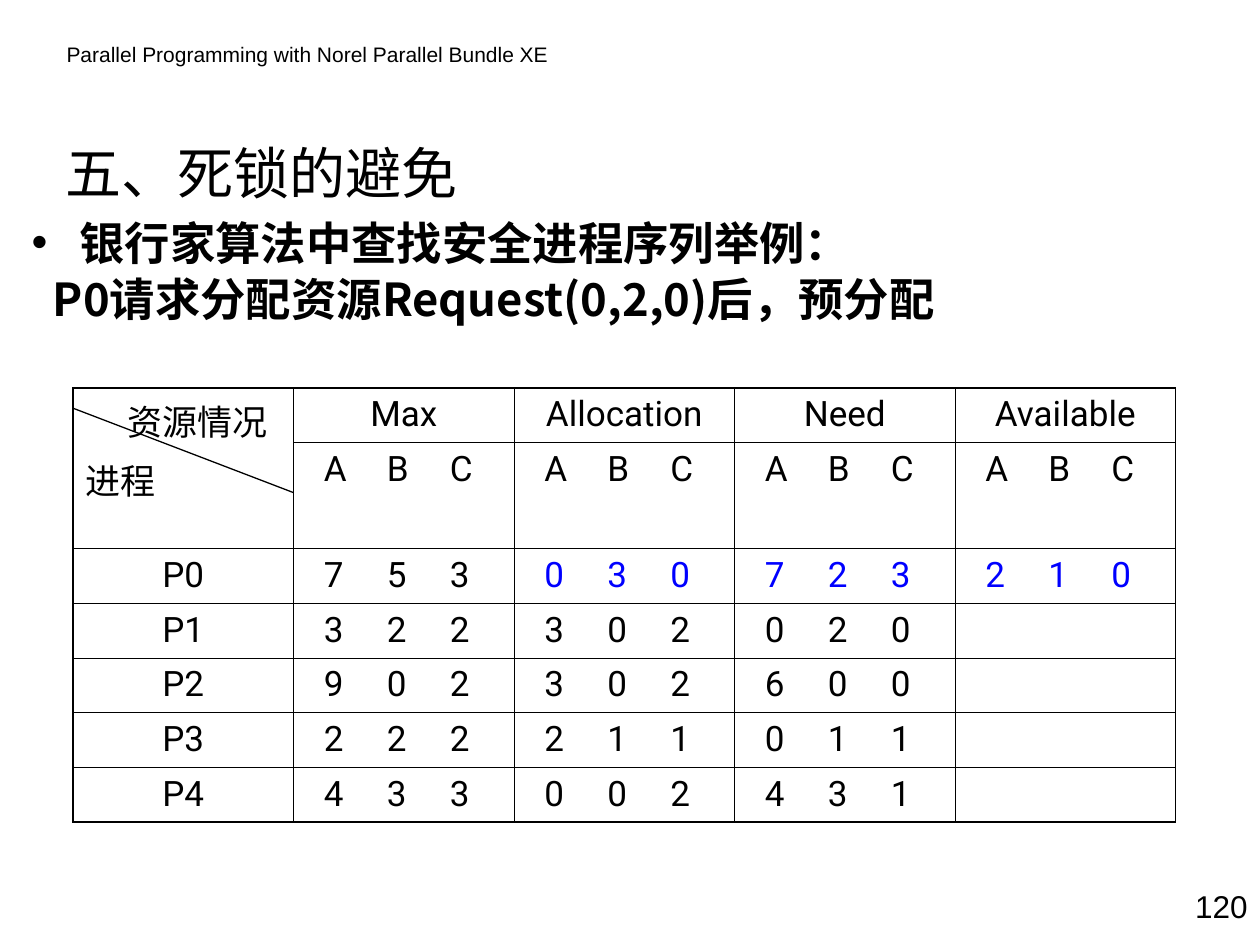
import pptx
import pptx.dml.color
import pptx.enum.shapes
import pptx.enum.text
import pptx.oxml
import pptx.oxml.ns
import pptx.util
from pptx.util import Inches

BLACK = pptx.dml.color.RGBColor(0, 0, 0)
BLUE = pptx.dml.color.RGBColor(0, 0, 255)
CHINESE = "Noto Sans CJK SC"
ALIGN = pptx.enum.text.PP_ALIGN
ANCHOR = pptx.enum.text.MSO_ANCHOR
AUTO_SIZE = pptx.enum.text.MSO_AUTO_SIZE
OUTER, INNER = 1.08, 0.45


class SlideBuilder:
    """Hold the style and the current slide, and draw each kind of element."""

    def __init__(self, page):
        self.page = page

    def child(self, parent, tag, **attributes):
        element = pptx.oxml.parse_xml(f"<a:{tag} {pptx.oxml.ns.nsdecls('a')}/>")
        for name, value in attributes.items():
            element.set(name, str(value))
        parent.append(element)
        return element

    def paragraph(self, para, text, size, font, color=BLACK, bold=False, tabs=(),
                  bullet=None, left=0, hanging=0, **formats):
        for name, value in formats.items():
            setattr(para, name, value)
        properties = para._p.get_or_add_pPr()
        properties.set("marL", str(Inches(left)))
        properties.set("indent", str(-Inches(hanging)))
        if bullet:
            self.child(properties, "buFont", typeface="Arial")
            self.child(properties, "buChar", char=bullet)
        if tabs:
            stops = self.child(properties, "tabLst")
            for stop in tabs:
                self.child(stops, "tab", pos=Inches(stop), algn="l")
        span = para.add_run()
        span.text = text
        style = {"size": pptx.util.Pt(size), "name": font, "bold": bold}
        for name, value in style.items():
            setattr(span.font, name, value)
        span.font.color.rgb = color
        self.child(span._r.get_or_add_rPr(), "ea", typeface=CHINESE)

    def text(self, place, paragraphs, side=0.1, **formats):
        box = self.page.shapes.add_textbox(*map(Inches, place))
        frame = box.text_frame
        settings = {"word_wrap": True, "margin_left": Inches(side),
                    "margin_right": Inches(side), **formats}
        for name, value in settings.items():
            setattr(frame, name, value)
        for index, paragraph in enumerate(paragraphs):
            para = frame.add_paragraph() if index else frame.paragraphs[0]
            self.paragraph(para, **paragraph)

    def borders(self, cell, widths):
        properties = cell._tc.get_or_add_tcPr()
        for side, width in widths.items():
            line = self.child(properties, f"ln{side}", w=pptx.util.Pt(width))
            fill = self.child(line, "solidFill")
            self.child(fill, "srgbClr", val=BLACK)

    def table(self, place, widths, heights):
        rows, columns = len(heights), len(widths)
        frame = self.page.shapes.add_table(rows, columns, *map(Inches, place))
        table = frame.table
        table.first_row = table.horz_banding = False
        for column, width in zip(table.columns, widths):
            column.width = Inches(width)
        for row, height in zip(table.rows, heights):
            row.height = Inches(height)
        for r in range(rows):
            for c in range(columns):
                cell = table.cell(r, c)
                edges = {"L": c == 0, "R": c == columns - 1,
                         "T": r == 0, "B": r == rows - 1}
                self.borders(cell, {side: OUTER if outside else INNER
                                    for side, outside in edges.items()})
                cell.fill.background()
        return table

    def label(self, cell, text):
        self.paragraph(cell.text_frame.paragraphs[0], text, 20, "Roboto",
                       alignment=ALIGN.CENTER)

    def triple(self, cell, text, step, color=BLACK):
        cell.margin_left = Inches(0.24)
        self.paragraph(cell.text_frame.paragraphs[0], "\t".join(text), 20,
                       "Roboto", color, tabs=(step, 2 * step))

    def line(self, start, end, width):
        connector = self.page.shapes.add_connector(
            pptx.enum.shapes.MSO_CONNECTOR.STRAIGHT,
            *map(Inches, (*start, *end)))
        connector.line.width = pptx.util.Pt(width)
        connector.line.color.rgb = BLACK
        self.child(connector._element.spPr, "effectLst")


def main():
    deck = pptx.Presentation()
    deck.slide_width, deck.slide_height = Inches(10), Inches(7.5)
    builder = SlideBuilder(deck.slides.add_slide(deck.slide_layouts[6]))

    builder.text((0.43, 0.28, 4.1, 0.3),
                 [dict(text="Parallel Programming with Norel Parallel Bundle XE",
                       size=12, font="Arial")],
                 auto_size=AUTO_SIZE.SHAPE_TO_FIT_TEXT)
    builder.text((0.42, 0.99, 9, 0.75),
                 [dict(text="五、死锁的避免", size=32, font=CHINESE)],
                 vertical_anchor=ANCHOR.MIDDLE)
    body = dict(size=25.9, font=CHINESE, bold=True, line_spacing=0.8)
    builder.text((0.25, 1.74, 9.75, 0.92), [
        dict(body, text="银行家算法中查找安全进程序列举例：",
             bullet="•", left=0.38, hanging=0.38),
        dict(body, text="P0请求分配资源Request(0,2,0)后，预分配",
             left=0.17, space_before=pptx.util.Pt(7)),
    ], side=0)
    builder.text((9.08, 6.99, 0.92, 0.4),
                 [dict(text="120", size=18, font="Arial", alignment=ALIGN.RIGHT)],
                 auto_size=AUTO_SIZE.SHAPE_TO_FIT_TEXT)

    groups = ["Max", "Allocation", "Need", "Available"]
    processes = [["753", "030", "723", "210"], ["322", "302", "020"],
                 ["902", "302", "600"], ["222", "211", "011"],
                 ["433", "002", "431"]]
    heights = [0.43, 0.84] + [0.43] * len(processes)
    table = builder.table((0.58, 3.08, 8.75, sum(heights)), [1.75] * 5, heights)
    corner = table.cell(0, 0)
    corner.merge(table.cell(1, 0))
    builder.paragraph(corner.text_frame.paragraphs[0], "资源情况", 20, "Roboto",
                      left=0.33)
    builder.paragraph(corner.text_frame.add_paragraph(), "进程", 20, "Roboto",
                      space_before=pptx.util.Pt(5))
    for column, group in enumerate(groups, 1):
        builder.label(table.cell(0, column), group)
        builder.triple(table.cell(1, column), "ABC", 0.45)
    for index, amounts in enumerate(processes):
        builder.label(table.cell(index + 2, 0), f"P{index}")
        for column, amount in enumerate(amounts, 1):
            changed = index == 0 and column > 1
            builder.triple(table.cell(index + 2, column), amount, 0.43,
                           BLUE if changed else BLACK)
    builder.line((0.58, 3.24), (2.33, 3.91), 0.75)
    deck.save("out.pptx")


if __name__ == "__main__":
    main()
